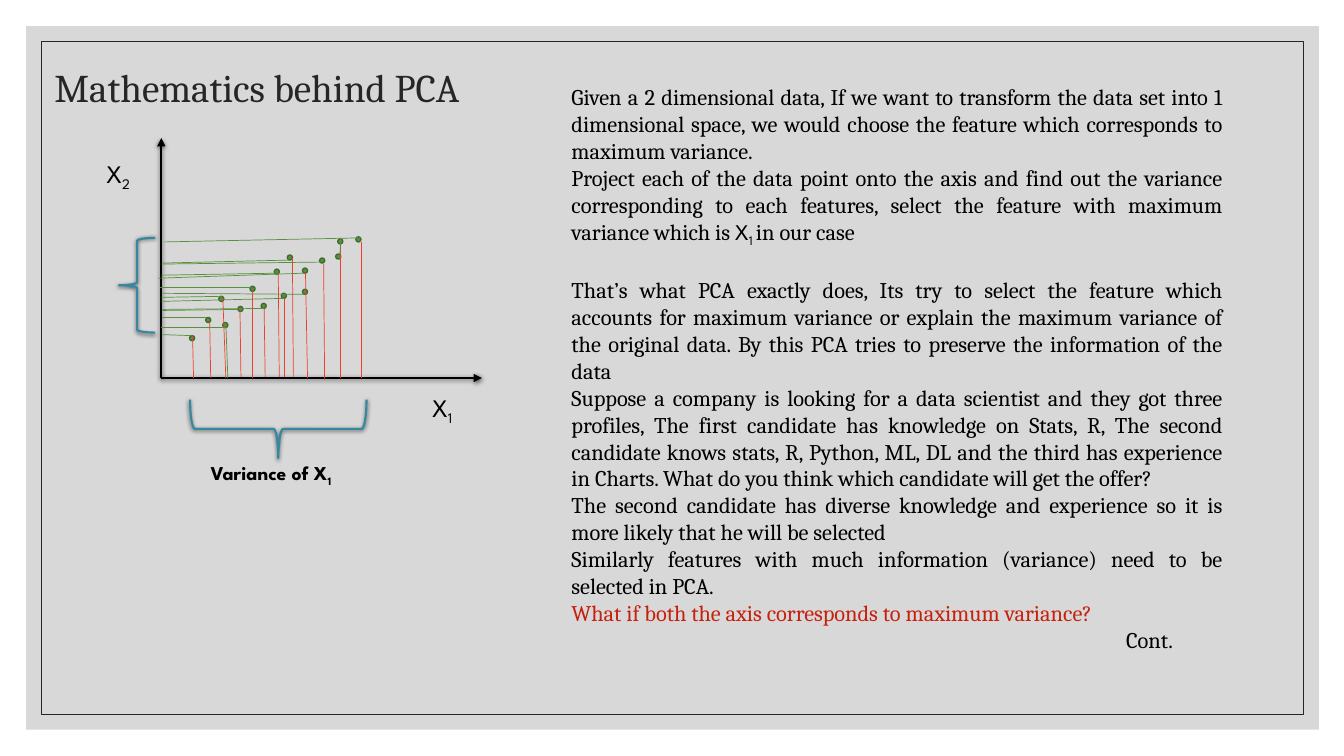
from lxml import etree
from pptx import Presentation
from pptx.dml.color import RGBColor
from pptx.enum.shapes import MSO_CONNECTOR, MSO_SHAPE
from pptx.enum.text import MSO_ANCHOR, PP_ALIGN
from pptx.oxml.ns import qn
from pptx.util import Inches, Pt

STRAIGHT = MSO_CONNECTOR.STRAIGHT
RECTANGLE, OVAL = MSO_SHAPE.RECTANGLE, MSO_SHAPE.OVAL
LEFT_BRACE, RIGHT_BRACE = MSO_SHAPE.LEFT_BRACE, MSO_SHAPE.RIGHT_BRACE
MIDDLE = MSO_ANCHOR.MIDDLE
LEFT, JUSTIFY = PP_ALIGN.LEFT, PP_ALIGN.JUSTIFY

SERIF, SANS = "Cambria", "League Spartan"
BLACK, DARK, GREY = "000000", "262626", "BFBFBF"
GREEN, DARK_GREEN = "57903F", "406B2F"
RED, QUESTION_RED, TEAL = "F03F2B", "C6210E", "3488A0"

DOT = 0.05
DATA_POINTS = [
    (0.61, 0.55), (0.28, 0.42), (0.88, 0.91), (0.57, 0.81), (0.76, 0.71), (1.12, 1.08),
    (1.4, 0.88), (0.99, 0.74), (1.19, 0.84), (1.75, 1.38), (1.25, 1.22), (0.44, 0.6),
    (1.73, 1.23), (1.57, 1.19), (1.4, 1.09), (1.93, 1.4),
]
DROPS_TO_X1 = [
    (1.98, 1.35, 1.98, 0), (1.78, 1.33, 1.78, 0), (1.61, 1.13, 1.62, -0.02),
    (1.43, 1.04, 1.45, 0), (1.3, 1.19, 1.31, 0.01), (1.22, 0.79, 1.22, 0.01),
    (1.16, 1.04, 1.17, 0.01), (1.02, 0.69, 1.03, 0.01), (0.9, 0.86, 0.9, 0),
    (0.78, 0.69, 0.79, 0.01), (0.61, 0.8, 0.64, 0), (0.48, 0.56, 0.49, 0),
    (0.31, 0.42, 0.32, 0),
]
LINES_TO_X2 = [
    (1.78, 1.38, 1.77, 1.19), (0.64, 0.55, 0.66, 0), (0.31, 0.42, 0.01, 0.43),
    (0.45, 0.6, 0.01, 0.6), (0.64, 0.5, 0, 0.5), (0.6, 0.81, 0, 0.8),
    (0.76, 0.68, 0.01, 0.67), (1.02, 0.69, 0.01, 0.68), (0.89, 0.9, -0.01, 0.9),
    (1.22, 0.79, 0, 0.76), (1.16, 1.04, 0, 1.02), (1.42, 1.04, -0.03, 0.99),
    (1.42, 0.83, 0.01, 0.84), (1.28, 1.17, 0.01, 1.14), (1.58, 1.15, 0, 1.13),
    (1.98, 1.39, 0.03, 1.35),
]
EXPLANATION = [
    "Given a 2 dimensional data, If we want to transform the data set into 1 dimensional space, "
    "we would choose the feature which corresponds to maximum variance.",
    "Project each of the data point onto the axis and find out the variance corresponding to each "
    "features, select the feature with maximum variance which is ",
    "That’s what PCA exactly does, Its try to select the feature which accounts for maximum "
    "variance or explain the maximum variance of the original data. By this PCA tries to preserve "
    "the information of the data",
    "Suppose a company is looking for a data scientist and they got three profiles, The first "
    "candidate has knowledge on Stats, R, The second candidate knows stats, R, Python, ML, DL and "
    "the third has experience in Charts. What do you think which candidate will get the offer?",
    "The second candidate has diverse knowledge and experience so it is more likely that he will "
    "be selected",
    "Similarly features with much information (variance) need to be selected in PCA.",
    "What if both the axis corresponds to maximum variance?",
    "Cont.",
]


def rgb(value):
    """Turn a hex string into a colour."""
    return RGBColor.from_string(value)


def add_run(paragraph, text, size, font=SERIF, color=BLACK, bold=False, subscript=False):
    """Append one formatted run."""
    run = paragraph.add_run()
    run.text = text
    run.font.size, run.font.name, run.font.bold = Pt(size), font, bold
    run.font.color.rgb = rgb(color)
    if subscript:
        run.font._element.set("baseline", "-25000")


def add_soft_shadow(properties):
    """Fill the effect list with a soft shadow falling downwards."""
    effects = properties.find(qn("a:effectLst"))
    shadow = etree.SubElement(effects, qn("a:outerShdw"), blurRad=str(Pt(3)), dist=str(Pt(1)),
                              dir="5400000", rotWithShape="0")
    black = etree.SubElement(shadow, qn("a:srgbClr"), val=BLACK)
    etree.SubElement(black, qn("a:alpha"), val="63000")


def add_outline_shape(slide, kind, box, line=None, width=1, fill=None):
    """Add a preset shape with the given fill and outline."""
    shape = slide.shapes.add_shape(kind, *map(Inches, box))
    shape.shadow.inherit = False
    if fill:
        shape.fill.solid()
        shape.fill.fore_color.rgb = rgb(fill)
    else:
        shape.fill.background()
    if line:
        shape.line.color.rgb, shape.line.width = rgb(line), Pt(width)
    else:
        shape.line.fill.background()
    return shape


def add_line(slide, ends, color, width):
    """Add a straight line without a shadow."""
    line = slide.shapes.add_connector(STRAIGHT, *map(Inches, ends))
    line.line.color.rgb, line.line.width = rgb(color), Pt(width)
    etree.SubElement(line._element.spPr, qn("a:effectLst"))
    return line


def add_axis(slide, ends):
    """Add a shadowed axis with an arrowhead."""
    axis = add_line(slide, ends, BLACK, 1.5)
    etree.SubElement(axis.line._get_or_add_ln(), qn("a:tailEnd"), type="triangle")
    add_soft_shadow(axis._element.spPr)


def add_brace(slide, kind, box, rotation=0):
    """Add a shadowed brace."""
    brace = add_outline_shape(slide, kind, box, TEAL, 1.5)
    brace.rotation = rotation
    add_soft_shadow(brace._element.spPr)


def add_text_area(slide, box):
    """Add a wrapping text box and return its frame."""
    frame = slide.shapes.add_textbox(*map(Inches, box)).text_frame
    frame.word_wrap = True
    return frame


def add_feature_label(slide, box, name, index, size, bold=False):
    """Add a feature name with its subscript index."""
    paragraph = add_text_area(slide, box).paragraphs[0]
    add_run(paragraph, name, size, SANS, bold=bold)
    add_run(paragraph, index, size, SANS, bold=bold, subscript=True)


def build_frame(slide, left, top, width, height):
    """Place the grey panel and its inner border behind everything."""
    inset = 0.15
    panel = add_outline_shape(slide, RECTANGLE, (left, top, width, height), fill=GREY)
    tint = panel._element.spPr.find(qn("a:solidFill"))[0]
    etree.SubElement(tint, qn("a:alpha"), val="60000")
    border = add_outline_shape(slide, RECTANGLE, (left + inset, top + inset, width - 2 * inset,
                                                  height - 2 * inset), DARK, 0.5)
    for depth, part in enumerate((panel, border), 2):
        slide.shapes._spTree.insert(depth, part._element)


def build_title(slide, left, top, width, height):
    """Format the title placeholder."""
    title = slide.shapes.title
    title.left, title.top, title.width, title.height = map(Inches, (left, top, width, height))
    title.text_frame.vertical_anchor = MIDDLE
    heading = title.text_frame.paragraphs[0]
    heading.alignment, heading.line_spacing = LEFT, 0.9
    add_run(heading, "Mathematics behind PCA", 28, color=DARK)


def build_projection_plot(slide, left, top, width, height):
    """Draw the scatter, its projections and variance braces in the axes box."""
    base = top + height
    add_axis(slide, (left, base, left, top))
    add_axis(slide, (left, base, left + width, base))
    for x, y in DATA_POINTS:
        add_outline_shape(slide, OVAL, (left + x, base - y, DOT, DOT), DARK_GREEN, 1, GREEN)
    for projections, color in ((DROPS_TO_X1, RED), (LINES_TO_X2, GREEN)):
        for x1, y1, x2, y2 in projections:
            add_line(slide, (left + x1, base - y1, left + x2, base - y2), color, 0.5)
    add_brace(slide, RIGHT_BRACE, (left + 0.87, base - 0.37, 0.58, 1.75), 90)
    add_brace(slide, LEFT_BRACE, (left - 0.42, base - 1.39, 0.36, 0.94))
    add_feature_label(slide, (left - 0.64, top + 0.15, 0.49, 0.4), "X", "2", 18)
    add_feature_label(slide, (left + 2.59, base + 0.09, 0.58, 0.4), "X", "1", 18)
    add_feature_label(slide, (left + 0.39, base + 0.77, 1.75, 0.34), "Variance of X", "1", 14, True)


def build_explanation(slide, left, top, width, height):
    """Write the justified explanation with its closing question."""
    frame = add_text_area(slide, (left, top, width, height))
    for number, text in enumerate(EXPLANATION):
        paragraph = frame.add_paragraph() if number else frame.paragraphs[0]
        paragraph.alignment = JUSTIFY
        add_run(paragraph, text, 16, color=QUESTION_RED if text.startswith("What if") else BLACK)
        if text.startswith("Project"):
            add_run(paragraph, "X", 16, SANS)
            add_run(paragraph, "1 ", 16, SANS, subscript=True)
            add_run(paragraph, "in our case", 16)
        elif text.startswith("That’s"):
            paragraph.space_before = Pt(20)
        elif text == "Cont.":
            paragraph._p.get_or_add_pPr().set("marL", str(Inches(5.5)))


def main():
    """Build and save the slide."""
    deck = Presentation()
    deck.slide_width, deck.slide_height = Inches(13.33), Inches(7.5)
    slide = deck.slides.add_slide(deck.slide_layouts[5])
    build_frame(slide, 0.26, 0.26, 12.82, 6.98)
    build_title(slide, 0.44, 0.42, 11, 0.95)
    build_projection_plot(slide, 1.6, 1.37, 3.18, 2.38)
    build_explanation(slide, 5.57, 0.78, 6.66, 6.29)
    deck.save("out.pptx")


if __name__ == "__main__":
    main()
